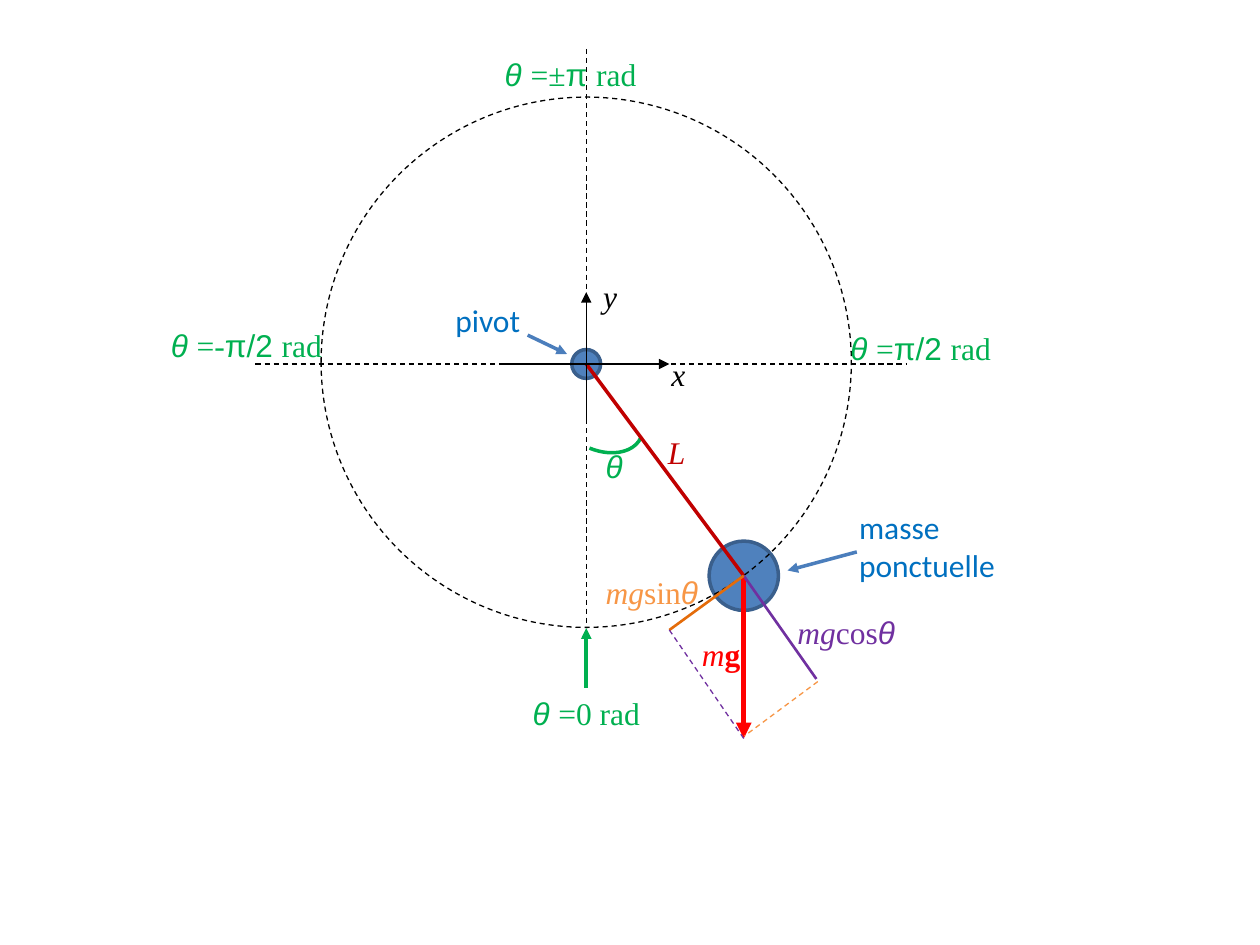
from lxml.etree import SubElement
from pptx import Presentation
from pptx.dml.color import RGBColor
from pptx.enum.dml import MSO_LINE
from pptx.enum.shapes import MSO_CONNECTOR, MSO_SHAPE
from pptx.enum.text import MSO_AUTO_SIZE, PP_ALIGN
from pptx.oxml.ns import qn
from pptx.util import Pt

BLACK = RGBColor(0x00, 0x00, 0x00)
GREEN = RGBColor(0x00, 0xB0, 0x50)
RED = RGBColor(0xFF, 0x00, 0x00)
DARK_RED = RGBColor(0xC0, 0x00, 0x00)
PURPLE = RGBColor(0x70, 0x30, 0xA0)
ORANGE = RGBColor(0xF7, 0x96, 0x46)
DARK_ORANGE = RGBColor(0xE4, 0x6C, 0x0A)
TEXT_BLUE = RGBColor(0x00, 0x70, 0xC0)
ARROW_BLUE = RGBColor(0x4B, 0x7E, 0xBC)
DISC_FILL = RGBColor(0x4F, 0x81, 0xBD)
DISC_LINE = RGBColor(0x3A, 0x5F, 0x8C)

SERIF, SANS, BODY = "Times New Roman", "Arial", "Calibri"
THETA = ("θ", SANS, "i")
THETA_SPACE = ("θ ", SANS, "i")
PIVOT = (335, 208)
BOB = (90, 121)


def add_text(s, origin, x, y, w, runs, color=BLACK, h=29, align=PP_ALIGN.LEFT, size=18):
    """Add a label of (text, font, style) runs at an offset from origin."""
    box = s.shapes.add_textbox(Pt(origin[0] + x), Pt(origin[1] + y), Pt(w), Pt(h))
    tf = box.text_frame
    tf.word_wrap = True
    tf.auto_size = MSO_AUTO_SIZE.SHAPE_TO_FIT_TEXT
    p = tf.paragraphs[0]
    p.alignment = align
    for text, font, style in runs:
        r = p.add_run()
        r.text = text
        r.font.name = font
        r.font.size = Pt(size)
        r.font.italic = "i" in style
        r.font.bold = "b" in style
        r.font.color.rgb = color


def add_line(s, origin, start, end, color=BLACK, width=0.75, dash=False, arrow=False):
    """Add a straight line between two offsets from origin."""
    ox, oy = origin
    c = s.shapes.add_connector(MSO_CONNECTOR.STRAIGHT, Pt(ox + start[0]), Pt(oy + start[1]),
                               Pt(ox + end[0]), Pt(oy + end[1]))
    c.line.color.rgb = color
    c.line.width = Pt(width)
    if dash:
        c.line.dash_style = MSO_LINE.DASH
    spPr = c._element.spPr
    if arrow:
        SubElement(spPr.get_or_add_ln(), qn("a:tailEnd"), type="triangle")
    SubElement(spPr, qn("a:effectLst"))


def add_outline(s, kind, center, w, h, color, width, fill=None):
    """Add a preset shape around a centre and return it."""
    sp = s.shapes.add_shape(kind, Pt(center[0] - w / 2), Pt(center[1] - h / 2), Pt(w), Pt(h))
    sp.shadow.inherit = False
    if fill is None:
        sp.fill.background()
    else:
        sp.fill.solid()
        sp.fill.fore_color.rgb = fill
    sp.line.color.rgb = color
    sp.line.width = Pt(width)
    return sp


def add_pendulum(s, origin):
    """Draw the pivot, the mass, the rod and the swing angle."""
    ox, oy = origin
    for center, size in ((origin, 16.5), ((ox + BOB[0], oy + BOB[1]), 39.6)):
        add_outline(s, MSO_SHAPE.OVAL, center, size, size, DISC_LINE, 2, DISC_FILL)
    arc = add_outline(s, MSO_SHAPE.ARC, (ox + 7.7, oy + 31), 36, 52, GREEN, 2)
    arc.rotation = 115.8
    arc.adjustments[0], arc.adjustments[1] = 162, 211.94
    add_line(s, origin, (0, 0), BOB, DARK_RED, 2)
    add_text(s, origin, 4, 44, 28, [THETA], GREEN)
    add_text(s, origin, 39.5, 36, 34, [("L", SERIF, "i")], DARK_RED)


def add_guides(s, origin):
    """Draw the axes, the dashed guides and the circular path."""
    add_line(s, origin, (0, -180), (0, 151), dash=True)
    add_line(s, origin, (-189, 0), (183, 0), dash=True)
    add_line(s, origin, (-48, 0), (47.5, 0), arrow=True)
    add_line(s, origin, (0, 32.5), (0, -41), arrow=True)
    path = add_outline(s, MSO_SHAPE.OVAL, (origin[0], origin[1] - 1), 303, 303, BLACK, 0.75)
    path.line.dash_style = MSO_LINE.DASH
    add_text(s, origin, 41.5, -8.5, 34, [("x", SERIF, "i")])
    add_text(s, origin, 2.5, -53, 34, [("y", SERIF, "i")])


def add_forces(s, origin):
    """Draw the weight and its two components from the mass."""
    weight, radial, tangent = (0, 93), (41.5, 59), (-42.5, 31)
    add_line(s, origin, (0, 1), weight, RED, 3, arrow=True)
    add_line(s, origin, (0, 0), radial, PURPLE, 1.5)
    add_line(s, origin, (0, 0), tangent, DARK_ORANGE, 1.5)
    add_line(s, origin, tangent, weight, PURPLE, dash=True)
    add_line(s, origin, (42.3, 60.5), (0.5, 91.5), ORANGE, dash=True)
    add_text(s, origin, -31, 30.3, 45.5, [("m", SERIF, "i"), ("g", SERIF, "b")], RED)
    for x, y, name, color in ((23.6, 17.5, "cos", PURPLE), (-86, -5, "sin", ORANGE)):
        add_text(s, origin, x, y, 90, [("mg", SERIF, "i"), (name, SERIF, ""), THETA], color)


def add_angle_labels(s, origin):
    """Label the four reference angles around the path."""
    labels = (
        (-42, 185, 84, [("=0 rad", SERIF, "")]),
        (143, -23.7, 96, [("=", SERIF, ""), ("π/2 ", SANS, ""), ("rad", SERIF, "")]),
        (-245, -25, 101.5, [("=-", SERIF, ""), ("π/2 ", SANS, ""), ("rad", SERIF, "")]),
        (-57, -180, 96, [("=±", SERIF, ""), ("π ", SANS, ""), ("rad", SERIF, "")]),
    )
    for x, y, w, runs in labels:
        add_text(s, origin, x, y, w, [THETA_SPACE] + runs, GREEN, align=PP_ALIGN.CENTER)
    add_line(s, origin, (0, 185), (0, 151), GREEN, 2, arrow=True)


def add_callouts(s, origin):
    """Name the pivot and the mass with arrows."""
    add_text(s, origin, -87.3, -39.5, 62, [("pivot", BODY, "")], TEXT_BLUE,
             align=PP_ALIGN.CENTER)
    add_text(s, origin, 148.8, 78.6, 96, [("masse ponctuelle", BODY, "")], TEXT_BLUE, h=51)
    for start, end in (((-33.5, -16.5), (-11, -5.7)), ((154.6, 107.4), (115, 118))):
        add_line(s, origin, start, end, ARROW_BLUE, 2, arrow=True)


def main():
    """Build the slide and save it."""
    prs = Presentation()
    prs.slide_width, prs.slide_height = Pt(720), Pt(540)
    s = prs.slides.add_slide(prs.slide_layouts[6])
    add_pendulum(s, PIVOT)
    add_guides(s, PIVOT)
    add_forces(s, (PIVOT[0] + BOB[0], PIVOT[1] + BOB[1]))
    add_angle_labels(s, PIVOT)
    add_callouts(s, PIVOT)
    prs.save("out.pptx")


main()
